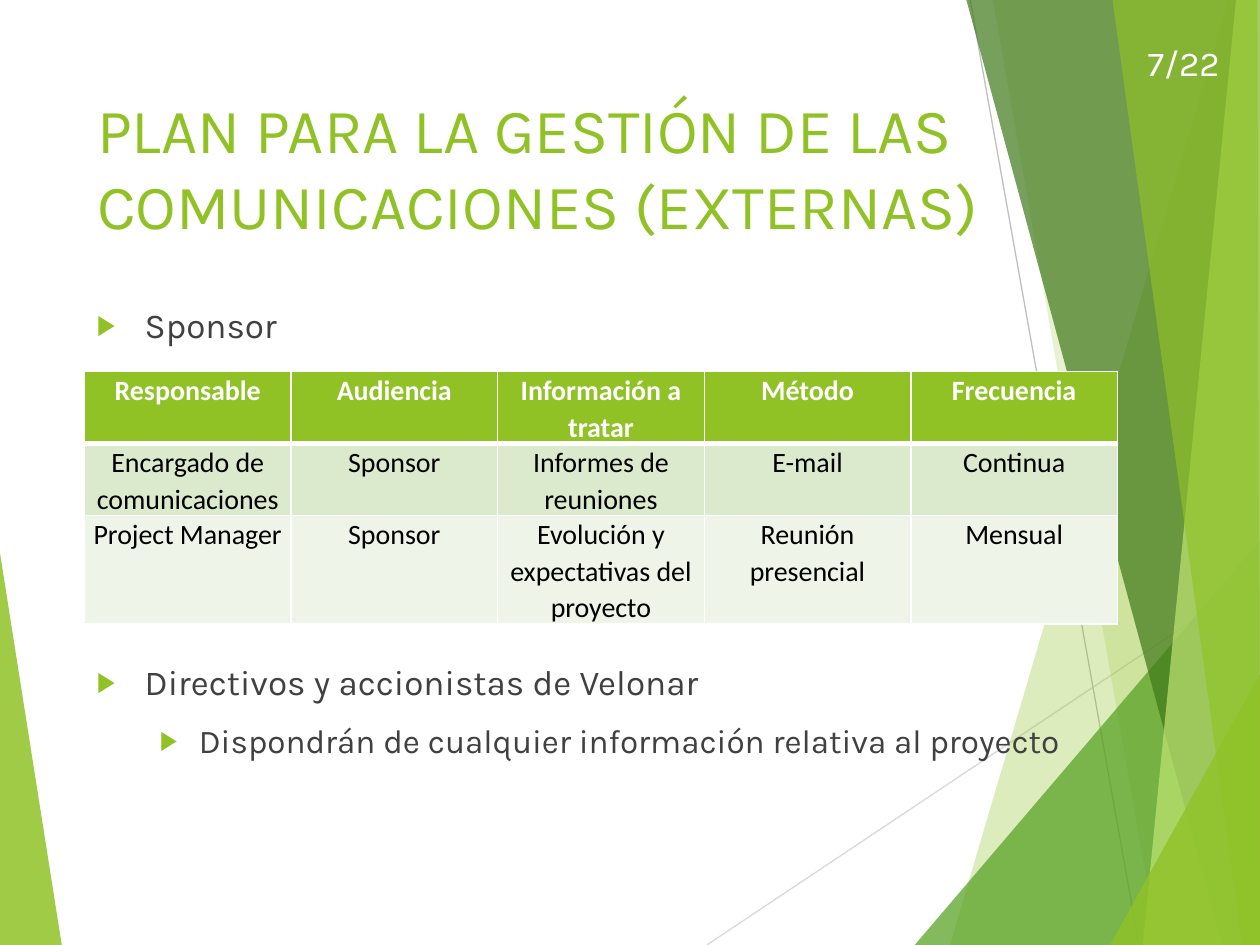
from lxml.etree import SubElement
from pptx import Presentation
from pptx.dml.color import RGBColor
from pptx.enum.shapes import MSO_CONNECTOR
from pptx.enum.text import MSO_ANCHOR, MSO_AUTO_SIZE, PP_ALIGN
from pptx.oxml import parse_xml
from pptx.oxml.ns import nsdecls, qn
from pptx.util import Inches, Pt

HUES = {
    "lime": "90C226", "leaf": "54A021", "pine": "3F7819", "pale": "C0E474",
    "gray": "404040", "rule": "D9D9D9", "edge": "BFBFBF",
    "white": "FFFFFF", "black": "000000", "band": "DBE9CD", "mist": "EEF4E8",
}


def color(name):
    return RGBColor.from_string(HUES[name])


def write(para, text, hue, size, face="Karla", bold=False):
    run = para.add_run()
    run.text = text
    look = {"name": face, "size": Pt(size), "bold": bold}
    for key, value in look.items():
        setattr(run.font, key, value)
    run.font.color.rgb = color(hue)


deck = Presentation()
deck.slide_width, deck.slide_height = Inches(10), Inches(7.5)
slide = deck.slides.add_slide(deck.slide_layouts[5])
shapes = slide.shapes

# Backdrop: outline points, fill and opacity in percent
left = [("lime", 85, [(0, 4.39), (0.49, 7.5), (0, 7.5)])]
right = [
    ("lime", 30, [(9.75, 0), (7.54, 7.5), (10, 7.5), (10, 0)]),
    ("lime", 20, [(7.88, 0), (9.19, 7.5), (10, 7.5), (10, 0)]),
    ("leaf", 72, [(7.26, 7.5), (10, 4.29), (10, 7.5)]),
    ("pine", 70, [(7.67, 0), (9.7, 7.5), (10, 7.5), (10, 0)]),
    ("pale", 70, [(9.81, 0), (9.07, 7.5), (10, 7.5), (10, 0)]),
    ("lime", 65, [(8.83, 0), (9.86, 7.5), (10, 7.5), (9.98, 0)]),
    ("lime", 80, [(8.81, 7.5), (10, 5.35), (10, 7.5)]),
]
rules = [("rule", 5.61, 7.5, 10, 4.57), ("edge", 7.7, 0, 9.04, 7.5)]

for hue, *ends in rules:
    line = shapes.add_connector(MSO_CONNECTOR.STRAIGHT, *map(Inches, ends))
    line.line.color.rgb = color(hue)
    line.line.width = Pt(0.75)
    SubElement(line.element.spPr, qn("a:effectLst"))

for hue, alpha, points in left + right:
    first, *rest = [(Inches(x), Inches(y)) for x, y in points]
    pen = shapes.build_freeform(*first)
    pen.add_line_segments(rest, close=True)
    facet = pen.convert_to_shape()
    facet.shadow.inherit = False
    facet.fill.solid()
    facet.fill.fore_color.rgb = color(hue)
    facet.line.fill.background()
    tint = facet.element.spPr.find(".//" + qn("a:srgbClr"))
    SubElement(tint, qn("a:alpha"), val=str(alpha * 1000))

# Title, brought in front of the backdrop
title = shapes.title
title.element.getparent().append(title.element)
place = {"left": 0.67, "top": 0.67, "width": 7.92, "height": 1.44}
for key, value in place.items():
    setattr(title, key, Inches(value))
frame = title.text_frame
form = {"word_wrap": True, "auto_size": MSO_AUTO_SIZE.NONE,
        "vertical_anchor": MSO_ANCHOR.TOP}
for key, value in form.items():
    setattr(frame, key, value)
para = frame.paragraphs[0]
para.alignment = PP_ALIGN.LEFT
write(para, "PLAN PARA LA GESTIÓN DE LAS COMUNICACIONES (EXTERNAS)", "lime", 36)

# Bullets: text, level, size, indent, hang, space before
items = [
    ("Sponsor", 0, 20, 0.38, 0.38, 10),
    ("Directivos y accionistas de Velonar", 0, 20, 0.38, 0.38, 180),
    ("Dispondrán de cualquier información relativa al proyecto",
     1, 19, 0.81, 0.31, 10),
]
body = shapes.add_textbox(Inches(0.67), Inches(2.36), Inches(8.43), Inches(4.13))
frame = body.text_frame
for key, value in form.items():
    setattr(frame, key, value)
for i, (text, level, size, indent, hang, gap) in enumerate(items):
    para = frame.add_paragraph() if i else frame.paragraphs[0]
    para.level = level
    para.space_before = Pt(gap)
    write(para, text, "gray", size)
    props = para._p.get_or_add_pPr()
    props.set("marL", str(Inches(indent)))
    props.set("indent", str(-Inches(hang)))
    tint = SubElement(props, qn("a:buClr"))
    SubElement(tint, qn("a:srgbClr"), val=HUES["lime"])
    SubElement(props, qn("a:buSzPct"), val="80000")
    SubElement(props, qn("a:buFont"), typeface="Arial")
    SubElement(props, qn("a:buChar"), char="▶")

# Page count
count = shapes.add_textbox(Inches(8.38), Inches(0.09), Inches(1.4), Inches(1.15))
frame = count.text_frame
frame.word_wrap = True
frame.vertical_anchor = MSO_ANCHOR.MIDDLE
frame.margin_bottom = Inches(0.38)
para = frame.paragraphs[0]
para.alignment = PP_ALIGN.RIGHT
write(para, "7/22", "white", 20)

# Table
rows = [
    ["Responsable", "Audiencia", "Información a tratar", "Método", "Frecuencia"],
    ["Encargado de comunicaciones", "Sponsor", "Informes de reuniones",
     "E-mail", "Continua"],
    ["Project Manager", "Sponsor", "Evolución y expectativas del proyecto",
     "Reunión presencial", "Mensual"],
]
fills = ["lime", "band", "mist"]
highs = [0.57, 0.57, 0.86]
inset = {"margin_left": 0.07, "margin_right": 0.07,
         "margin_top": 0, "margin_bottom": 0}
grid = shapes.add_table(len(rows), len(rows[0]), Inches(0.67), Inches(2.95),
                        Inches(8.2), Inches(sum(highs))).table
for col in grid.columns:
    col.width = Inches(1.64)
for r, texts in enumerate(rows):
    grid.rows[r].height = Inches(highs[r])
    head = r == 0
    for c, text in enumerate(texts):
        cell = grid.cell(r, c)
        for key, value in inset.items():
            setattr(cell, key, Inches(value))
        para = cell.text_frame.paragraphs[0]
        para.alignment = PP_ALIGN.CENTER
        para.line_spacing = 1.07
        write(para, text, "white" if head else "black", 16, "Calibri", head)
        props = cell._tc.get_or_add_tcPr()
        for side in "LRTB":
            thick = (head and side == "B") or (r == 1 and side == "T")
            width = Pt(3 if thick else 1)
            props.append(parse_xml(
                f'<a:ln{side} {nsdecls("a")} w="{width}"><a:solidFill>'
                f'<a:srgbClr val="{HUES["white"]}"/></a:solidFill></a:ln{side}>'))
        cell.fill.solid()
        cell.fill.fore_color.rgb = color(fills[r])

deck.save("out.pptx")
